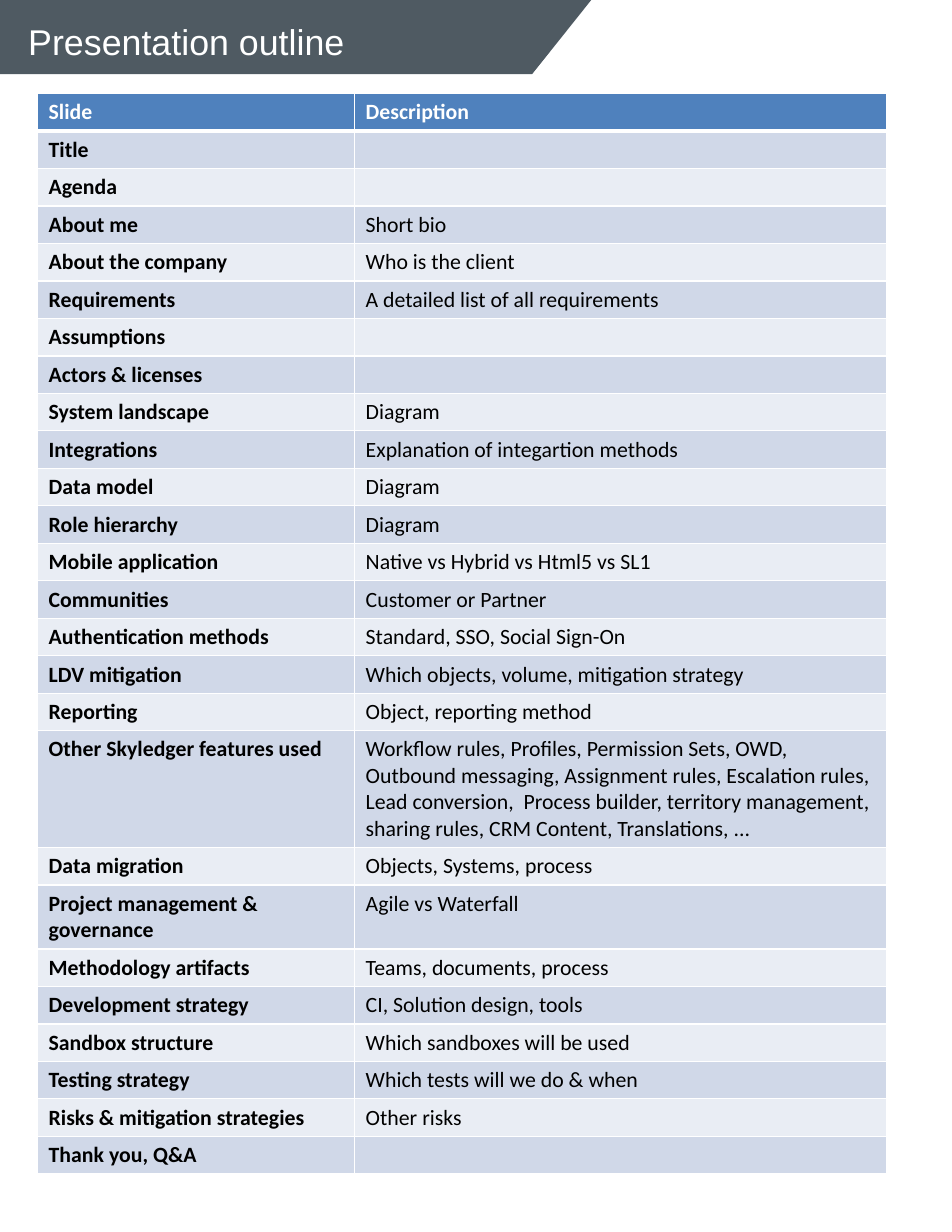
import dataclasses
import lxml.etree
import pptx
import pptx.dml.color
import pptx.enum.text
import pptx.oxml.ns
import pptx.util

Cm = pptx.util.Cm
Pt = pptx.util.Pt


@dataclasses.dataclass(frozen=True)
class Theme:
    slate: str = "4F5A62"
    blue: str = "4F81BD"
    bands: tuple = ("D0D8E8", "E9EDF4")
    white: str = "FFFFFF"
    black: str = "000000"
    head: str = "Arial"
    body: str = "Calibri"
    big: int = 23
    small: int = 14


THEME = Theme()

ROWS = [
    ("Slide", "Description"),
    ("Title", ""),
    ("Agenda", ""),
    ("About me", "Short bio"),
    ("About the company", "Who is the client"),
    ("Requirements", "A detailed list of all requirements"),
    ("Assumptions", ""),
    ("Actors & licenses", ""),
    ("System landscape", "Diagram"),
    ("Integrations", "Explanation of integartion methods"),
    ("Data model", "Diagram"),
    ("Role hierarchy", "Diagram"),
    ("Mobile application", "Native vs Hybrid vs Html5 vs SL1"),
    ("Communities", "Customer or Partner"),
    ("Authentication methods", "Standard, SSO, Social Sign-On"),
    ("LDV mitigation", "Which objects, volume, mitigation strategy"),
    ("Reporting", "Object, reporting method"),
    ("Other Skyledger features used",
     "Workflow rules, Profiles, Permission Sets, OWD, Outbound messaging, "
     "Assignment rules, Escalation rules, Lead conversion,  Process builder, "
     "territory management, sharing rules, CRM Content, Translations, ..."),
    ("Data migration", "Objects, Systems, process"),
    ("Project management & governance", "Agile vs Waterfall"),
    ("Methodology artifacts", "Teams, documents, process"),
    ("Development strategy", "CI, Solution design, tools"),
    ("Sandbox structure", "Which sandboxes will be used"),
    ("Testing strategy", "Which tests will we do & when"),
    ("Risks & mitigation strategies", "Other risks"),
    ("Thank you, Q&A", ""),
]
LINES = {"Other Skyledger features used": 4, "Project management & governance": 2}


def put(item, form):
    for name, value in form.items():
        setattr(item, name, value)


def color(code):
    return pptx.dml.color.RGBColor.from_string(code)


def paint(fill, code):
    fill.solid()
    fill.fore_color.rgb = color(code)


def write(para, text, code, form):
    run = para.add_run()
    run.text = text
    put(run.font, form)
    run.font.color.rgb = color(code)


def add_banner(slide):
    wide, slant, tall = Cm(13.41), Cm(12.07), Cm(1.68)
    path = slide.shapes.build_freeform(wide, 0)
    path.add_line_segments([(0, 0), (0, tall), (slant, tall)], close=True)
    banner = path.convert_to_shape()
    banner.shadow.inherit = False
    paint(banner.fill, THEME.slate)
    banner.line.fill.background()
    slide.shapes._spTree.insert(2, banner._element)


def add_title(slide, text):
    title = slide.shapes.title
    put(title, {"left": Cm(0.64), "top": Cm(0.43),
                "width": Cm(7.82), "height": Cm(0.99)})
    frame = title.text_frame
    put(frame, {"margin_left": 0, "margin_top": 0, "margin_right": 0,
                "margin_bottom": 0, "word_wrap": True,
                "vertical_anchor": pptx.enum.text.MSO_ANCHOR.MIDDLE,
                "auto_size": pptx.enum.text.MSO_AUTO_SIZE.SHAPE_TO_FIT_TEXT})
    para = frame.paragraphs[0]
    para.alignment = pptx.enum.text.PP_ALIGN.LEFT
    write(para, text, THEME.white, {"name": THEME.head, "size": Pt(THEME.big)})


def add_edges(cell, sizes):
    tag = pptx.oxml.ns.qn
    props = cell._tc.get_or_add_tcPr()
    for spot, (side, size) in enumerate(sizes.items()):
        edge = lxml.etree.Element(tag("a:ln" + side), w=str(Pt(size)))
        fill = lxml.etree.SubElement(edge, tag("a:solidFill"))
        lxml.etree.SubElement(fill, tag("a:srgbClr"), val=THEME.white)
        props.insert(spot, edge)


def fill_cell(cell, text, row, col):
    paint(cell.fill, THEME.bands[(row - 1) % 2] if row else THEME.blue)
    add_edges(cell, {"L": 1, "R": 1, "T": 3 if row == 1 else 1,
                     "B": 1 if row else 3})
    para = cell.text_frame.paragraphs[0]
    if text:
        write(para, text, THEME.black if row else THEME.white,
              {"name": THEME.body, "size": Pt(THEME.small),
               "bold": row == 0 or col == 0})
    else:
        lxml.etree.SubElement(para._p, pptx.oxml.ns.qn("a:endParaRPr"),
                              sz=str(THEME.small * 100))


def add_grid(slide):
    wides = [Cm(7.19), Cm(12.07)]
    talls = [Cm(0.25 + 0.6 * LINES.get(name, 1)) for name, _ in ROWS]
    grid = slide.shapes.add_table(len(ROWS), len(wides), Cm(0.85), Cm(2.12),
                                  sum(wides), sum(talls)).table
    for col, wide in zip(grid.columns, wides):
        col.width = wide
    for row, tall in zip(grid.rows, talls):
        row.height = tall
    for row, texts in enumerate(ROWS):
        for col, text in enumerate(texts):
            fill_cell(grid.cell(row, col), text, row, col)


def main():
    deck = pptx.Presentation()
    put(deck, {"slide_width": Cm(21.59), "slide_height": Cm(27.94)})
    slide = deck.slides.add_slide(deck.slide_layouts[5])
    add_banner(slide)
    add_title(slide, "Presentation outline")
    add_grid(slide)
    deck.save("out.pptx")


if __name__ == "__main__":
    main()
